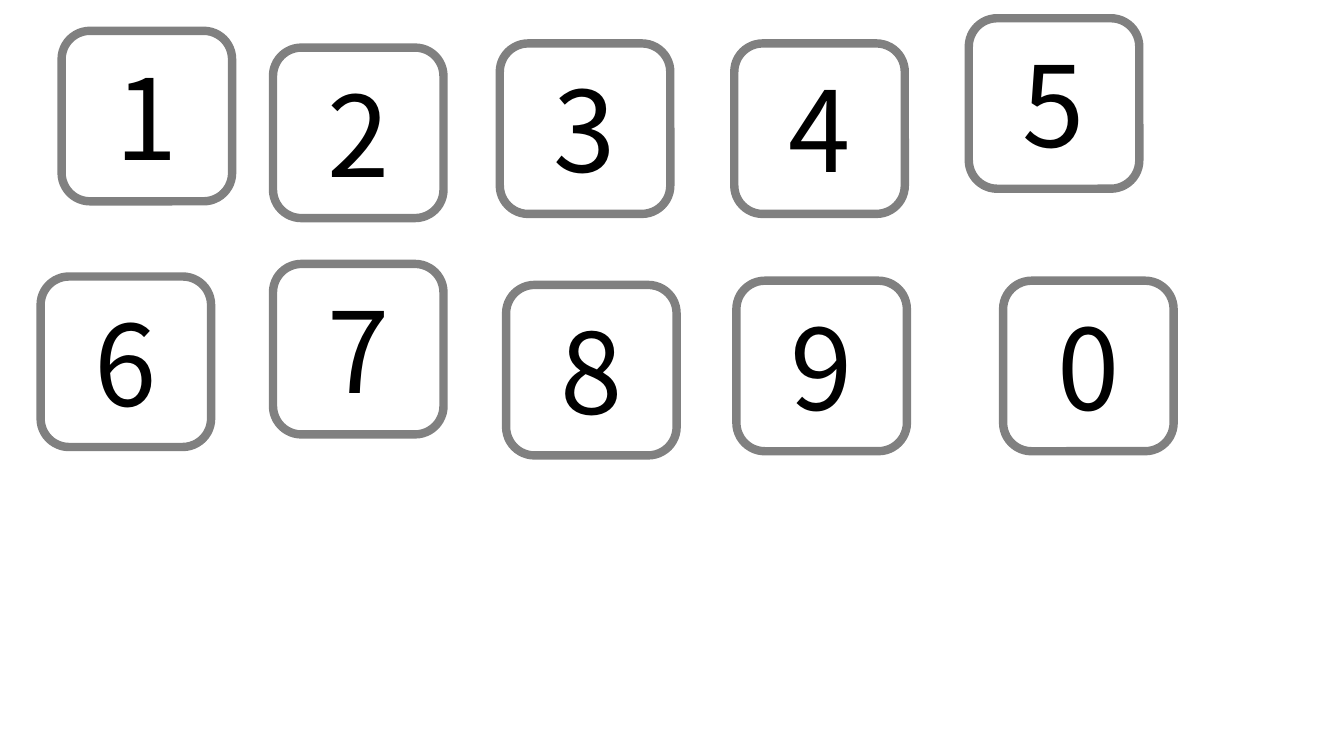
import pptx
import pptx.util
import pptx.dml.color
import pptx.enum.shapes
import pptx.enum.text

Pt = pptx.util.Pt
RGB = pptx.dml.color.RGBColor
THEME = {
    "border": RGB(0x80, 0x80, 0x80),
    "ink": RGB(0, 0, 0),
    "font": "Noto Sans CJK KR",
    "digit": 80,
}


def add_text(shapes, text, left, top, width, height, size, color):
    tb = shapes.add_textbox(Pt(left), Pt(top), Pt(width), Pt(height))
    tf = tb.text_frame
    tf.word_wrap = True
    tf.auto_size = pptx.enum.text.MSO_AUTO_SIZE.SHAPE_TO_FIT_TEXT
    p = tf.paragraphs[0]
    p.alignment = pptx.enum.text.PP_ALIGN.CENTER
    r = p.add_run()
    r.text = text
    r.font.size = Pt(size)
    r.font.name = THEME["font"]
    r.font.color.rgb = color


prs = pptx.Presentation()
prs.slide_width, prs.slide_height = Pt(960), Pt(540)
s = prs.slides.add_slide(prs.slide_layouts[6])

side = 121.8
cards = [
    ("2", 195, 34), ("3", 357, 31), ("4", 524.5, 31), ("5", 692, 13),
    ("1", 44, 22), ("6", 29, 197.5), ("7", 195, 188.5), ("8", 361.5, 203.5),
    ("9", 526, 200.5), ("0", 716.5, 200.5),
]
for digit, left, top in cards:
    group = s.shapes.add_group_shape()
    sp = group.shapes.add_shape(
        pptx.enum.shapes.MSO_SHAPE.ROUNDED_RECTANGLE, Pt(left), Pt(top), Pt(side), Pt(side))
    sp.shadow.inherit = False
    sp.fill.background()
    sp.line.color.rgb = THEME["border"]
    sp.line.width = Pt(6)
    add_text(group.shapes, digit, left + 25.4, top + 9, 71, 104.4,
             size=THEME["digit"], color=THEME["ink"])

prs.save("out.pptx")
